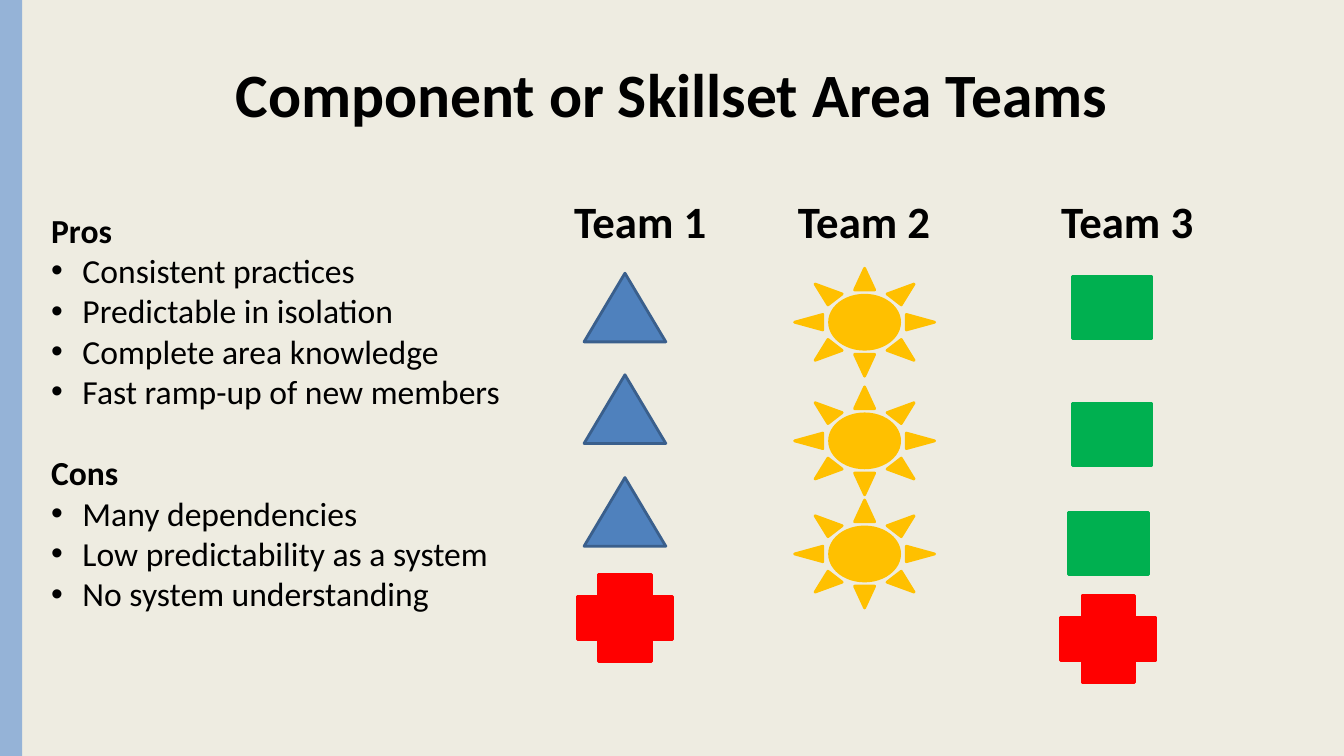
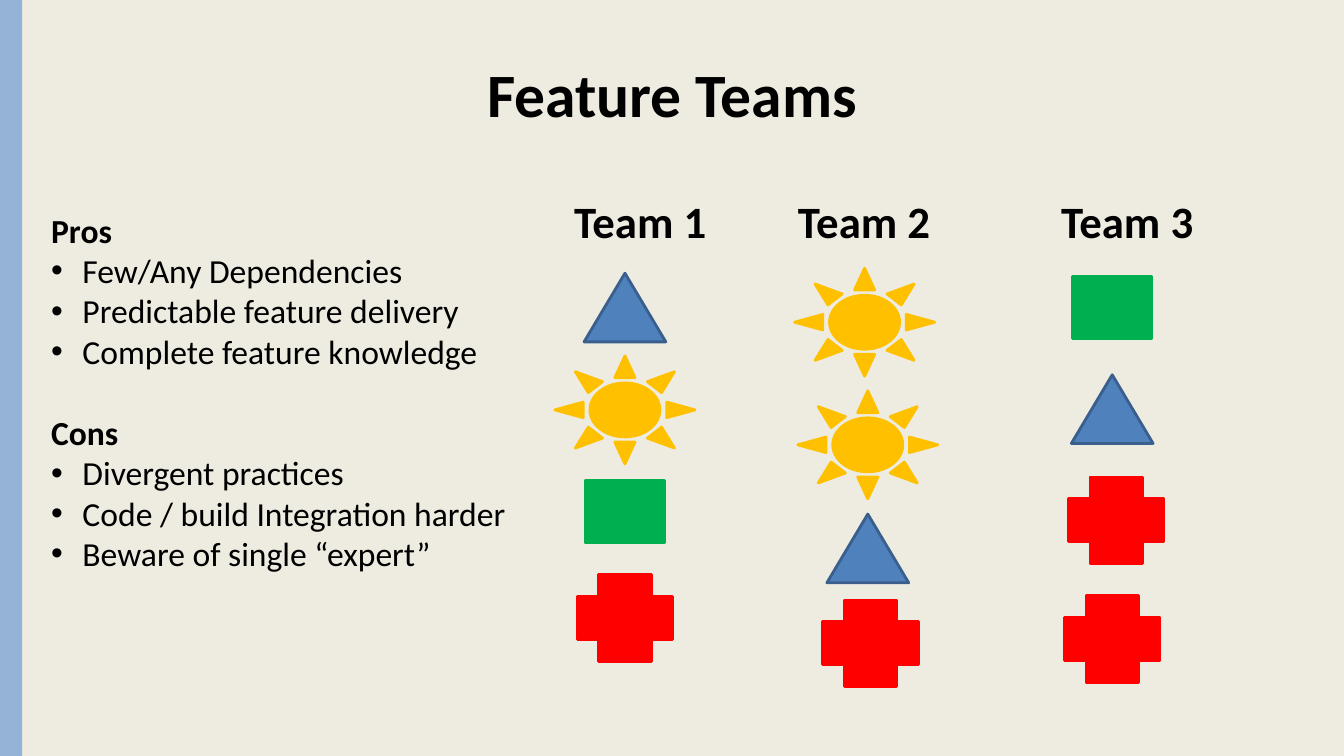
import pptx
import pptx.dml.color
import pptx.enum.shapes
import pptx.enum.text
import pptx.oxml.ns
import pptx.util
from lxml import etree

Cm, Pt = pptx.util.Cm, pptx.util.Pt
MSO_SHAPE = pptx.enum.shapes.MSO_SHAPE
MSO_AUTO_SIZE = pptx.enum.text.MSO_AUTO_SIZE

# Content: each marker is (skill, centre height, optional sideways nudge) in cm
SLIDES = [
    {
        "title": "Component or Skillset Area Teams",
        "points": {
            "Pros": ["Consistent practices", "Predictable in isolation",
                     "Complete area knowledge", "Fast ramp-up of new members"],
            "Cons": ["Many dependencies", "Low predictability as a system",
                     "No system understanding"],
        },
        "points_height": 10.52,
        "teams": {
            "Team 1": [("triangle", 7.75), ("triangle", 10.31),
                       ("triangle", 12.9), ("cross", 15.57)],
            "Team 2": [("sun", 8.12), ("sun", 11.11), ("sun", 13.96)],
            "Team 3": [("square", 7.75), ("square", 10.95),
                       ("square", 13.69, -0.1), ("cross", 16.1, -0.1)],
        },
    },
    {
        "title": "Feature Teams",
        "points": {
            "Pros": ["Few/Any Dependencies", "Predictable feature delivery",
                     "Complete feature knowledge"],
            "Cons": ["Divergent practices", "Code / build Integration harder",
                     "Beware of single “expert”"],
        },
        "points_height": 9.5,
        "teams": {
            "Team 1": [("triangle", 7.75), ("sun", 10.33),
                       ("square", 12.9), ("cross", 15.57)],
            "Team 2": [("sun", 8.12), ("sun", 11.21, 0.08),
                       ("triangle", 13.82, 0.08), ("cross", 16.21, 0.15)],
            "Team 3": [("square", 7.75), ("triangle", 10.31),
                       ("cross", 13.11, 0.1), ("cross", 16.1)],
        },
    },
]

# Theme and layout, lengths in cm and type sizes in points
THEME = {
    "font": "Calibri", "text": "000000",
    "background": "EEECE1", "band": "95B3D7",
    "title": 44, "team": 32, "body": 24, "outline": 2, "group_gap": 29.3,
}
SKILLS = {  # preset shape, width, height, fill, outline
    "triangle": (MSO_SHAPE.ISOSCELES_TRIANGLE, 2.06, 1.73, "4F81BD", "3A5F8C"),
    "sun": (MSO_SHAPE.SUN, 3.53, 2.72, "FFC000", "FFC000"),
    "square": (MSO_SHAPE.RECTANGLE, 2.01, 1.57, "00B050", "00B050"),
    "cross": (MSO_SHAPE.CROSS, 2.41, 2.18, "FF0000", "FF0000"),
}
TEAM_COLUMNS = [(14.22, 15.75), (19.86, 21.79), (26.49, 28.03)]  # label left, marker centre
WIDTH, HEIGHT = 33.87, 19.05
TITLE_BOX = (1.7, 0.76, 30.48, 3.18)
POINTS_LEFT, POINTS_TOP, POINTS_WIDTH = 1.04, 5.16, 12.19
TEAM_TOP, TEAM_WIDTH, TEAM_HEIGHT = 4.75, 3.89, 1.63
INDENT = 0.79


def rgb(value):
    return pptx.dml.color.RGBColor.from_string(value)


def apply(target, formats):
    for name, value in formats.items():
        setattr(target, name, value)


def add_text_frame(slide, box, **formats):
    frame = slide.shapes.add_textbox(*map(Cm, box)).text_frame
    apply(frame, {"word_wrap": True, **formats})
    return frame


def write(paragraph, text, size, bold=True):
    paragraph.text = text
    apply(paragraph.font, {"name": THEME["font"], "size": Pt(THEME[size]), "bold": bold})
    paragraph.font.color.rgb = rgb(THEME["text"])


def add_bullet(paragraph):
    properties = paragraph._p.get_or_add_pPr()
    properties.set("marL", str(Cm(INDENT)))
    properties.set("indent", str(-Cm(INDENT)))
    for tag, key, value in (("a:buFont", "typeface", "Arial"), ("a:buChar", "char", "•")):
        etree.SubElement(properties, pptx.oxml.ns.qn(tag)).set(key, value)


def add_block(slide, preset, box, fill, outline=None):
    block = slide.shapes.add_shape(preset, *map(Cm, box))
    block.shadow.inherit = False
    block.fill.solid()
    block.fill.fore_color.rgb = rgb(fill)
    if outline:
        block.line.color.rgb = rgb(outline)
        block.line.width = Pt(THEME["outline"])
    else:
        block.line.fill.background()


def add_marker(slide, centre, skill, middle, nudge=0):
    preset, width, height, fill, outline = SKILLS[skill]
    box = (centre + nudge - width / 2, middle - height / 2, width, height)
    add_block(slide, preset, box, fill, outline)


def add_base(slide, title):
    add_block(slide, MSO_SHAPE.RECTANGLE, (0, 0, 0.56, HEIGHT), THEME["band"])
    frame = add_text_frame(slide, TITLE_BOX,
                           vertical_anchor=pptx.enum.text.MSO_ANCHOR.MIDDLE)
    write(frame.paragraphs[0], title, "title")
    frame.paragraphs[0].alignment = pptx.enum.text.PP_ALIGN.CENTER


def add_teams(slide, teams):
    for (left, centre), (team, markers) in zip(TEAM_COLUMNS, teams.items()):
        frame = add_text_frame(slide, (left, TEAM_TOP, TEAM_WIDTH, TEAM_HEIGHT),
                               word_wrap=False, auto_size=MSO_AUTO_SIZE.SHAPE_TO_FIT_TEXT)
        write(frame.paragraphs[0], team, "team")
        for marker in markers:
            add_marker(slide, centre, *marker)


def add_points(slide, points, height):
    frame = add_text_frame(slide, (POINTS_LEFT, POINTS_TOP, POINTS_WIDTH, height),
                           auto_size=MSO_AUTO_SIZE.SHAPE_TO_FIT_TEXT)
    for number, (heading, items) in enumerate(points.items()):
        paragraph = frame.add_paragraph() if number else frame.paragraphs[0]
        if number:
            paragraph.space_before = Pt(THEME["group_gap"])
        write(paragraph, heading, "body")
        for item in items:
            paragraph = frame.add_paragraph()
            add_bullet(paragraph)
            write(paragraph, item, "body", bold=False)


def main():
    deck = pptx.Presentation()
    apply(deck, {"slide_width": Cm(WIDTH), "slide_height": Cm(HEIGHT)})
    background = deck.slide_master.background.fill
    background.solid()
    background.fore_color.rgb = rgb(THEME["background"])
    for content in SLIDES:
        slide = deck.slides.add_slide(deck.slide_layouts[6])
        add_base(slide, content["title"])
        add_teams(slide, content["teams"])
        add_points(slide, content["points"], content["points_height"])
    deck.save("out.pptx")


if __name__ == "__main__":
    main()
